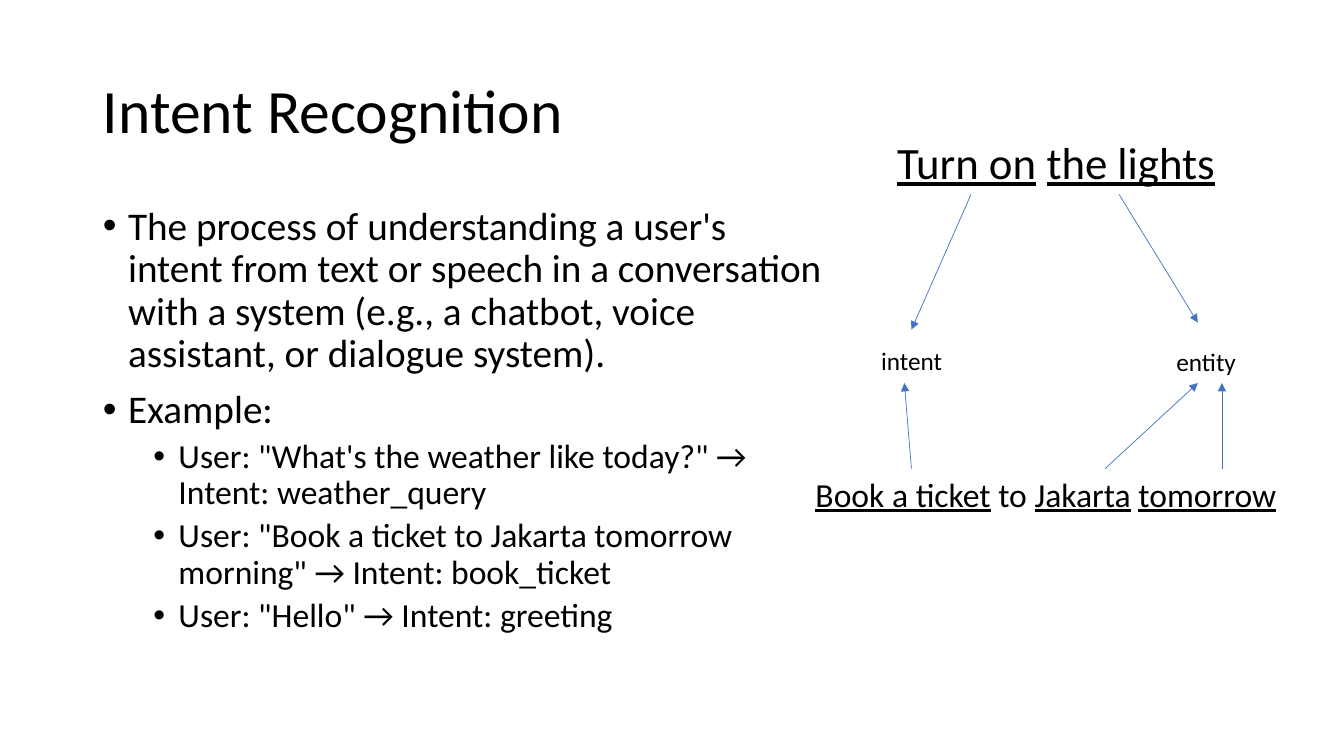
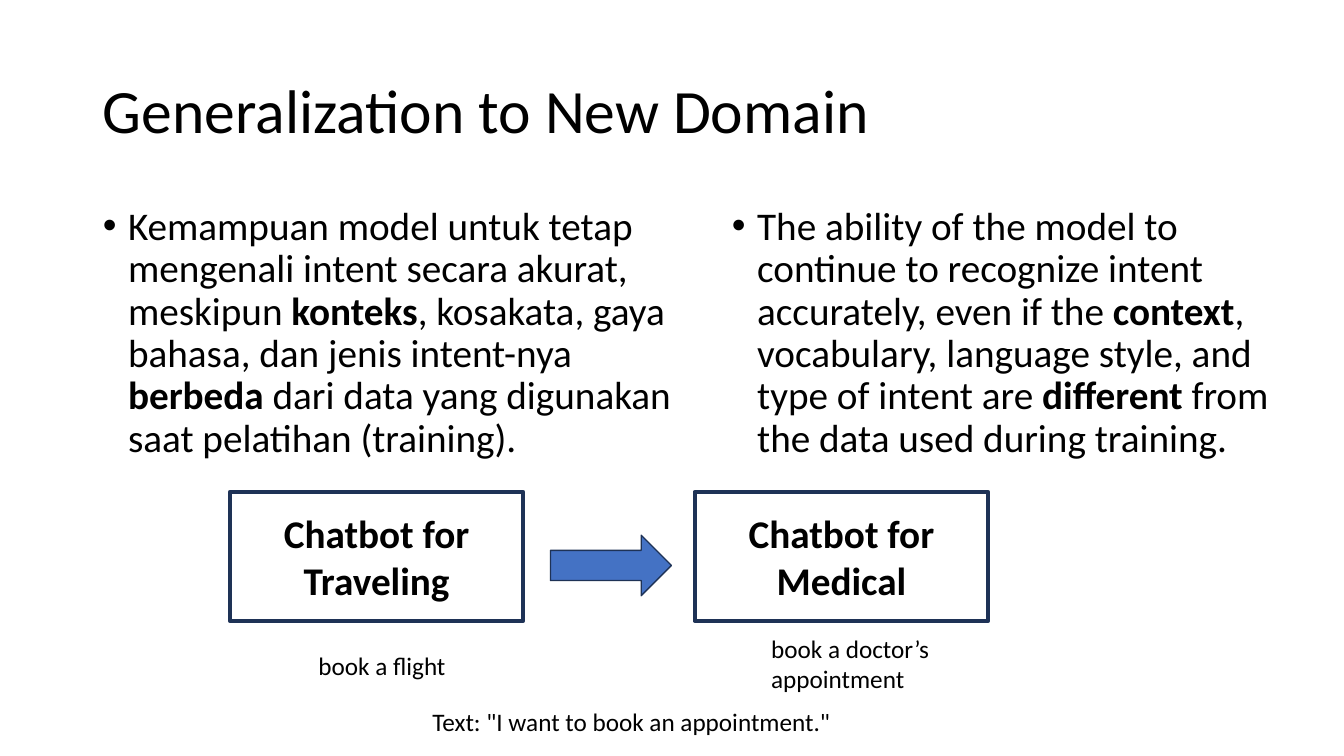
"""Build two slides on intent recognition and its generalization to new domains."""
from dataclasses import dataclass

from lxml.etree import SubElement
from pptx import Presentation
from pptx.dml.color import RGBColor
from pptx.enum.shapes import MSO_CONNECTOR, MSO_SHAPE
from pptx.enum.text import MSO_ANCHOR, MSO_AUTO_SIZE, PP_ALIGN
from pptx.oxml.ns import qn
from pptx.util import Pt


@dataclass(frozen=True)
class Theme:
    font: str = "Calibri"
    ink: RGBColor = RGBColor(0x00, 0x00, 0x00)
    accent: RGBColor = RGBColor(0x44, 0x72, 0xC4)
    outline: RGBColor = RGBColor(0x1E, 0x32, 0x56)
    title: int = 44
    phrase: int = 32
    body: int = 28
    detail: int = 24
    label: int = 18


T = Theme()
PX = 9144


def write(p, text, size, mark="bold"):
    """Fill a paragraph, giving the parts between bars the marked style."""
    for i, part in enumerate(text.split("|")):
        if part:
            r = p.add_run()
            r.text = part
            r.font.name, r.font.size = T.font, Pt(size)
            r.font.color.rgb = T.ink
            setattr(r.font, mark, i % 2 == 1)


def place(sp, *box):
    """Move a shape to a box given in px and return its text frame."""
    sp.left, sp.top, sp.width, sp.height = (v * PX for v in box)
    return sp.text_frame


prs = Presentation()
prs.slide_width, prs.slide_height = 1333 * PX, 750 * PX

recognition = prs.slides.add_slide(prs.slide_layouts[1])
domains = prs.slides.add_slide(prs.slide_layouts[3])

for s, title in [(recognition, "Intent Recognition"), (domains, "Generalization to New Domain")]:
    tf = place(s.shapes.title, 92, 40, 1150, 145)
    tf.auto_size = MSO_AUTO_SIZE.NONE
    tf.vertical_anchor = MSO_ANCHOR.MIDDLE
    p = tf.paragraphs[0]
    p.alignment, p.line_spacing = PP_ALIGN.LEFT, 0.9
    write(p, title, T.title)

lists = [
    (recognition.placeholders[1], (92, 200, 741, 476), [
        (0, "The process of understanding a user's intent from text or speech in a conversation "
            "with a system (e.g., a chatbot, voice assistant, or dialogue system)."),
        (0, "Example:"),
        (1, "User: \"What's the weather like today?\" → Intent: weather_query"),
        (1, "User: \"Book a ticket to Jakarta tomorrow morning\" → Intent: book_ticket"),
        (1, "User: \"Hello\" → Intent: greeting"),
    ]),
    (domains.placeholders[1], (92, 200, 606, 278), [
        (0, "Kemampuan model untuk tetap mengenali intent secara akurat, meskipun |konteks|, "
            "kosakata, gaya bahasa, dan jenis intent-nya |berbeda |dari data yang digunakan "
            "saat pelatihan (training)."),
    ]),
    (domains.placeholders[2], (716, 200, 606, 278), [
        (0, "The ability of the model to continue to recognize intent accurately, even if the "
            "|context|, vocabulary, language style, and type of intent are |different| from "
            "the data used during training."),
    ]),
]
for sp, box, items in lists:
    tf = place(sp, *box)
    tf.auto_size = MSO_AUTO_SIZE.NONE
    for i, (level, text) in enumerate(items):
        p = tf.add_paragraph() if i else tf.paragraphs[0]
        p.level = level
        pPr = p._p.get_or_add_pPr()
        pPr.set("marL", str((25 + 50 * level) * PX))
        pPr.set("indent", str(-25 * PX))
        SubElement(pPr, qn("a:buFont"), typeface="Arial")
        SubElement(pPr, qn("a:buChar"), char="•")
        p.line_spacing = 0.9
        p.space_before = Pt((5 if level else 10) if i else 0)
        write(p, text, T.detail if level else T.body)

labels = [
    (recognition, (880, 129, 404, 64), "|Turn on| |the lights|", T.phrase),
    (recognition, (864, 338, 99, 40), "intent", T.label),
    (recognition, (1157, 339, 110, 40), "entity", T.label),
    (recognition, (799, 465, 486, 50), "|Book a ticket| to |Jakarta| |tomorrow|", T.detail),
    (domains, (419, 696, 496, 40), "Text: \"I want to book an appointment.\"", T.label),
    (domains, (306, 640, 273, 40), "book a flight", T.label),
    (domains, (755, 623, 291, 71), "book a doctor’s appointment", T.label),
]
for s, box, text, size in labels:
    tf = place(s.shapes.add_textbox(0, 0, 0, 0), *box)
    tf.word_wrap = True
    tf.auto_size = MSO_AUTO_SIZE.SHAPE_TO_FIT_TEXT
    write(tf.paragraphs[0], text, size, "underline")

arrows = [
    (963, 193, 904, 327),
    (1110, 193, 1188, 320),
    (904, 465, 897, 380),
    (1096, 465, 1188, 380),
    (1212, 465, 1212, 380),
]
for ends in arrows:
    c = recognition.shapes.add_connector(MSO_CONNECTOR.STRAIGHT, *(v * PX for v in ends))
    c.line.color.rgb, c.line.width = T.accent, Pt(0.5)
    SubElement(c.line._get_or_add_ln(), qn("a:tailEnd"), type="triangle")
    SubElement(c._element.spPr, qn("a:effectLst"))

blocks = [
    (MSO_SHAPE.RECTANGLE, (228, 488, 291, 128), "|Chatbot for Traveling|", 3),
    (MSO_SHAPE.RECTANGLE, (689, 488, 291, 128), "|Chatbot for Medical|", 3),
    (MSO_SHAPE.RIGHT_ARROW, (546, 531, 120, 60), "", 1),
]
for kind, box, text, weight in blocks:
    sp = domains.shapes.add_shape(kind, 0, 0, 0, 0)
    tf = place(sp, *box)
    sp.shadow.inherit = False
    sp.line.color.rgb, sp.line.width = T.outline, Pt(weight)
    if text:
        sp.fill.background()
        tf.vertical_anchor = MSO_ANCHOR.MIDDLE
        tf.paragraphs[0].alignment = PP_ALIGN.CENTER
        write(tf.paragraphs[0], text, T.body)
    else:
        sp.fill.solid()
        sp.fill.fore_color.rgb = T.accent

prs.save("out.pptx")
